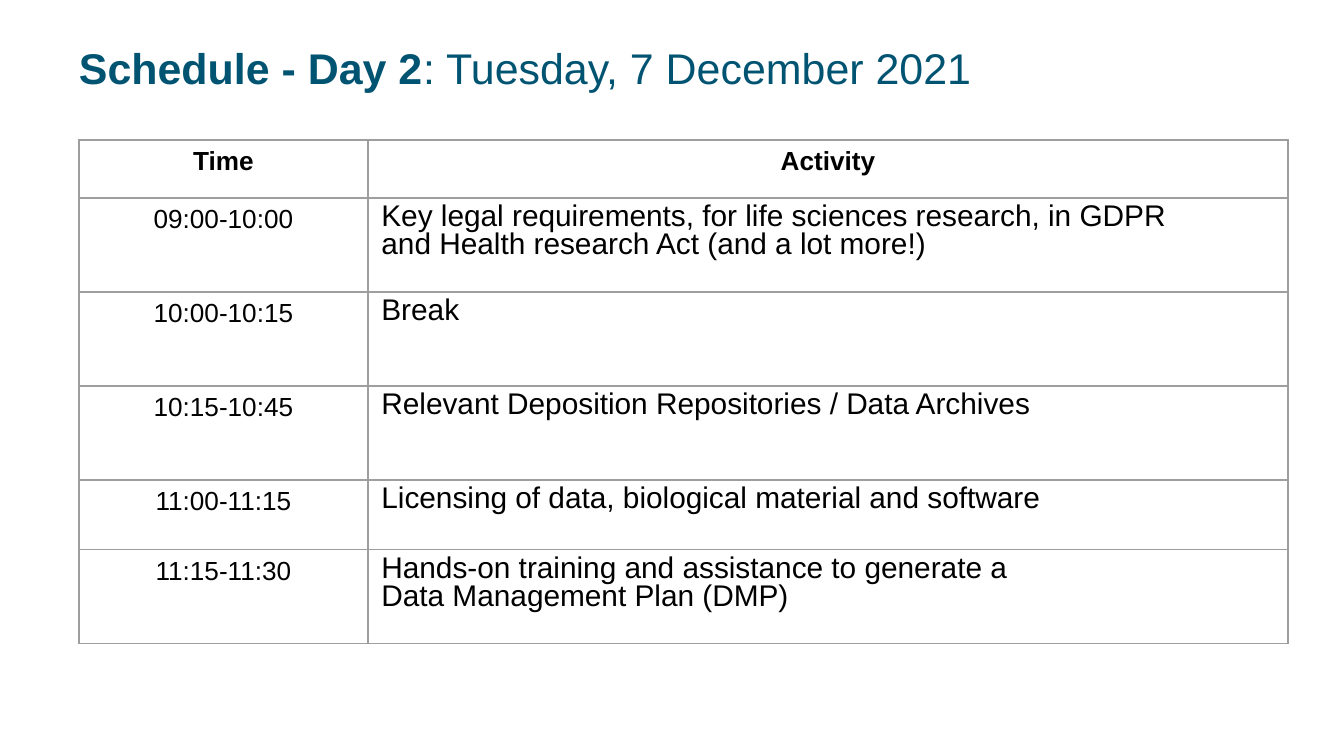
from typing import NamedTuple

from lxml import etree
from pptx import Presentation
from pptx.dml.color import RGBColor
from pptx.enum.text import MSO_ANCHOR, PP_ALIGN
from pptx.oxml.ns import qn
from pptx.util import Pt

CENTER, LEFT = PP_ALIGN.CENTER, PP_ALIGN.LEFT
TOP = MSO_ANCHOR.TOP
EMU_PER_PX = 914400 / 134.4
FONT = "Arial"
COLORS = {"title": "005472", "text": "000000", "border": "9E9E9E"}


class Style(NamedTuple):
    size: int
    color: str = "text"
    bold: bool = False
    align: PP_ALIGN = LEFT
    spacing: float = 1.0


class Row(NamedTuple):
    time: str
    activity: str
    height: int


HEADER = Style(14, bold=True, align=CENTER)
TIME = Style(14, align=CENTER)
ACTIVITY = Style(16, spacing=0.83)
COLUMNS = (289, 920)
ROWS = [
    Row("Time", "Activity", 58),
    Row("09:00-10:00", "Key legal requirements, for life sciences research, in GDPR \v"
        "and Health research Act (and a lot more!)", 94),
    Row("10:00-10:15", "Break", 94),
    Row("10:15-10:45", "Relevant Deposition Repositories / Data Archives", 94),
    Row("11:00-11:15", "Licensing of data, biological material and software", 70),
    Row("11:15-11:30", "Hands-on training and assistance to generate a \v"
        "Data Management Plan (DMP)", 94),
]


def px(n: int) -> int:
    return round(n * EMU_PER_PX)


def format_run(r, style: Style) -> None:
    r.font.name = FONT
    r.font.size = Pt(style.size)
    r.font.bold = style.bold
    r.font.color.rgb = RGBColor.from_string(COLORS[style.color])


def set_borders(cell, color: str) -> None:
    tc_pr = cell._tc.get_or_add_tcPr()
    for i, side in enumerate(("lnL", "lnR", "lnT", "lnB")):
        ln = etree.Element(qn(f"a:{side}"), w=str(Pt(0.75)))
        fill = etree.SubElement(ln, qn("a:solidFill"))
        etree.SubElement(fill, qn("a:srgbClr"), val=COLORS[color])
        tc_pr.insert(i, ln)


def fill_cell(cell, text: str, style: Style) -> None:
    cell.fill.background()
    cell.vertical_anchor = TOP
    set_borders(cell, "border")
    p = cell.text_frame.paragraphs[0]
    p.text = text
    p.alignment = style.align
    p.line_spacing = style.spacing
    for r in p.runs:
        format_run(r, style)
    # Line breaks take the text size, so that they do not stretch the line
    for br in p._p.findall(qn("a:br")):
        etree.SubElement(br, qn("a:rPr"), sz=str(style.size * 100))


def add_title(slide, parts: list[tuple[str, Style]]) -> None:
    sp = slide.shapes.add_textbox(px(79), px(42), px(1199), px(71))
    tf = sp.text_frame
    tf.word_wrap = True
    tf.vertical_anchor = TOP
    tf.margin_left = tf.margin_right = tf.margin_top = tf.margin_bottom = 0
    for text, style in parts:
        r = tf.paragraphs[0].add_run()
        r.text = text
        format_run(r, style)


def add_schedule(slide, rows: list[Row]) -> None:
    height = sum(row.height for row in rows)
    frame = slide.shapes.add_table(len(rows), len(COLUMNS), px(79), px(140),
                                   px(sum(COLUMNS)), px(height))
    table = frame.table
    table.horz_banding = False
    for column, width in zip(table.columns, COLUMNS):
        column.width = px(width)
    for i, row in enumerate(rows):
        table.rows[i].height = px(row.height)
        fill_cell(table.cell(i, 0), row.time, TIME if i else HEADER)
        fill_cell(table.cell(i, 1), row.activity, ACTIVITY if i else HEADER)


def main() -> None:
    prs = Presentation()
    prs.slide_width, prs.slide_height = px(1344), px(756)
    slide = prs.slides.add_slide(prs.slide_layouts[6])

    # Title
    add_title(slide, [
        ("Schedule - Day 2", Style(23, "title", bold=True)),
        (": Tuesday, 7 December 2021", Style(23, "title")),
    ])

    # Schedule table
    add_schedule(slide, ROWS)

    prs.save("out.pptx")


if __name__ == "__main__":
    main()
